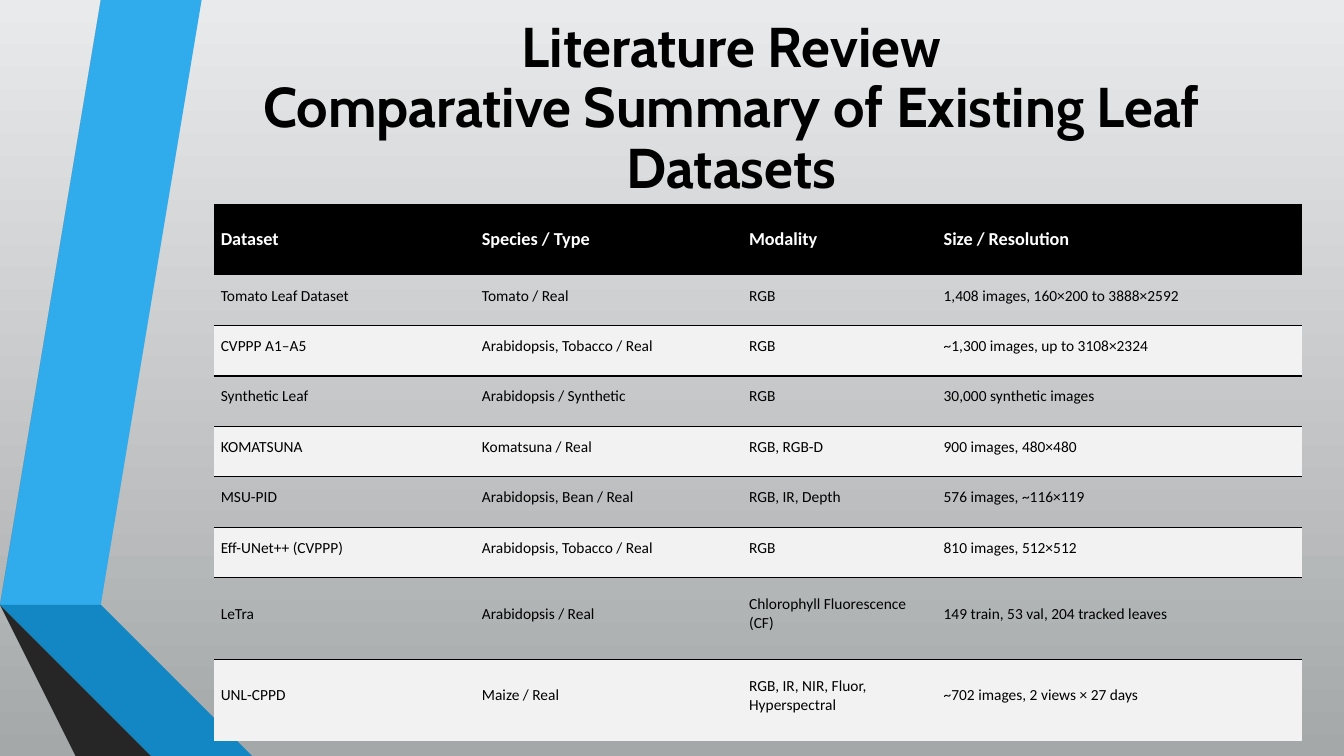
"""Build the literature review slide comparing leaf datasets."""
from lxml import etree
from pptx import Presentation
from pptx.dml.color import RGBColor
from pptx.enum import text
from pptx.oxml import ns
from pptx.util import Inches, Pt

COLORS = {
    "top": "E9EAEB", "bottom": "A5A8A9", "black": "000000", "white": "FFFFFF",
    "band": "F2F2F2", "blue": "30ACEC", "mid_blue": "1287C3", "dark_blue": "0C5A82",
    "gray": "595959", "mid_gray": "404040", "dark_gray": "262626",
}
RIBBONS = [
    ("blue", [(0.5, 5.78), (0.77, 5.83), (1.73, 0), (1.45, 0)]),
    ("gray", [(1.39, 0), (1.11, 0), (0.16, 5.73), (0.44, 5.77)]),
    ("dark_gray", [(0.16, 5.73), (1.45, 7.5), (1.51, 7.5)]),
    ("dark_blue", [(0.5, 5.79), (2.08, 7.5), (2.14, 7.5)]),
    ("mid_blue", [(0.5, 5.79), (2.14, 7.5), (2.83, 7.5), (0.77, 5.83), (0.5, 5.78)]),
    ("mid_gray", [(2.02, 7.5), (0.48, 5.83), (0.43, 5.77), (0.16, 5.73), (1.51, 7.5)]),
]
ROWS = [
    ("Dataset", "Species / Type", "Modality", "Size / Resolution"),
    ("Tomato Leaf Dataset", "Tomato / Real", "RGB", "1,408 images, 160×200 to 3888×2592"),
    ("CVPPP A1–A5", "Arabidopsis, Tobacco / Real", "RGB", "~1,300 images, up to 3108×2324"),
    ("Synthetic Leaf", "Arabidopsis / Synthetic", "RGB", "30,000 synthetic images"),
    ("KOMATSUNA", "Komatsuna / Real", "RGB, RGB-D", "900 images, 480×480"),
    ("MSU-PID", "Arabidopsis, Bean / Real", "RGB, IR, Depth", "576 images, ~116×119"),
    ("Eff-UNet++ (CVPPP)", "Arabidopsis, Tobacco / Real", "RGB", "810 images, 512×512"),
    ("LeTra", "Arabidopsis / Real", "Chlorophyll Fluorescence (CF)",
     "149 train, 53 val, 204 tracked leaves"),
    ("UNL-CPPD", "Maize / Real", "RGB, IR, NIR, Fluor, Hyperspectral",
     "~702 images, 2 views × 27 days"),
]
COL_WIDTHS = [2.59, 2.65, 1.93, 3.62]
ROW_HEIGHTS = [0.71] + [0.5] * 6 + [0.81] * 2
NO_GRID_STYLE = "{2D5ABB26-0587-4C30-8999-92F81FD0307C}"


def rgb(name):
    return RGBColor.from_string(COLORS[name])


def add_top_border(cell, name):
    tc_pr = cell._tc.get_or_add_tcPr()
    line = etree.Element(ns.qn("a:lnT"), w=str(Pt(1)))
    fill = etree.SubElement(line, ns.qn("a:solidFill"))
    etree.SubElement(fill, ns.qn("a:srgbClr"), val=COLORS[name])
    tc_pr.insert(0, line)


prs = Presentation()
prs.slide_width, prs.slide_height = Inches(13.33), Inches(7.5)
s = prs.slides.add_slide(prs.slide_layouts[5])

bg = s.background.fill
bg.gradient()
bg.gradient_angle = 270
for stop, position, name in zip(bg.gradient_stops, (0, 1), ("top", "bottom")):
    stop.position = position
    stop.color.rgb = rgb(name)

for name, points in RIBBONS:
    builder = s.shapes.build_freeform(*points[0], scale=Inches(1))
    builder.add_line_segments(points[1:], close=True)
    sp = builder.convert_to_shape()
    sp.shadow.inherit = False
    sp.fill.solid()
    sp.fill.fore_color.rgb = rgb(name)
    sp.line.fill.background()

title = s.shapes.title
title.element.getparent().append(title.element)
title.left, title.top = Inches(1.93), Inches(0.13)
title.width, title.height = Inches(10.65), Inches(1.92)
tf = title.text_frame
tf.text = "Literature Review\vComparative Summary of Existing Leaf Datasets"
tf.word_wrap = True
tf.auto_size = text.MSO_AUTO_SIZE.NONE
tf.vertical_anchor = text.MSO_ANCHOR.MIDDLE
p = tf.paragraphs[0]
p.alignment = text.PP_ALIGN.CENTER
p.line_spacing = 0.9
p.font.name, p.font.size, p.font.bold = "Cabin", Pt(40), True
p.font.color.rgb = rgb("black")

frame = s.shapes.add_table(len(ROWS), len(COL_WIDTHS), Inches(2.12), Inches(2.02),
                           Inches(sum(COL_WIDTHS)), Inches(sum(ROW_HEIGHTS)))
table = frame.table
table.horz_banding = False
table._tbl.tblPr.find(ns.qn("a:tableStyleId")).text = NO_GRID_STYLE
for column, width in zip(table.columns, COL_WIDTHS):
    column.width = Inches(width)
for i, (row, height, values) in enumerate(zip(table.rows, ROW_HEIGHTS, ROWS)):
    row.height = Inches(height)
    header = i == 0
    for cell, value in zip(row.cells, values):
        cell.text = value
        cell.vertical_anchor = text.MSO_ANCHOR.MIDDLE
        cell.margin_left, cell.margin_right = Inches(0.07), Inches(0.05)
        cell.margin_top = Inches(0.09 if header else 0)
        cell.margin_bottom = Inches(0.09)
        if i % 2:
            cell.fill.background()
        else:
            cell.fill.solid()
            cell.fill.fore_color.rgb = rgb("black" if header else "band")
            if not header:
                add_top_border(cell, "black")
        p = cell.text_frame.paragraphs[0]
        p.font.name, p.font.bold = "Calibri", header
        p.font.size = Pt(13 if header else 11)
        p.font.color.rgb = rgb("white" if header else "black")

prs.save("out.pptx")
